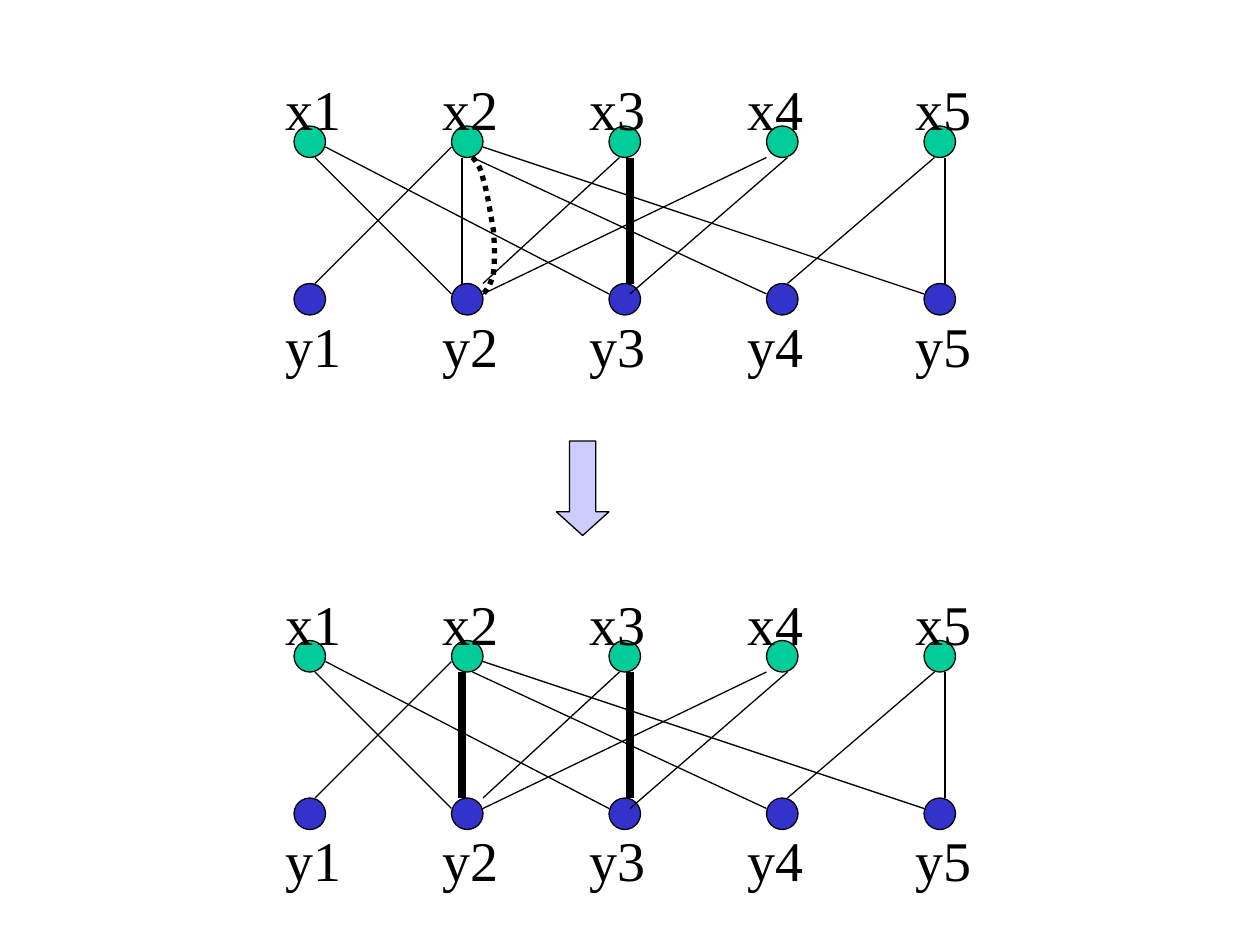
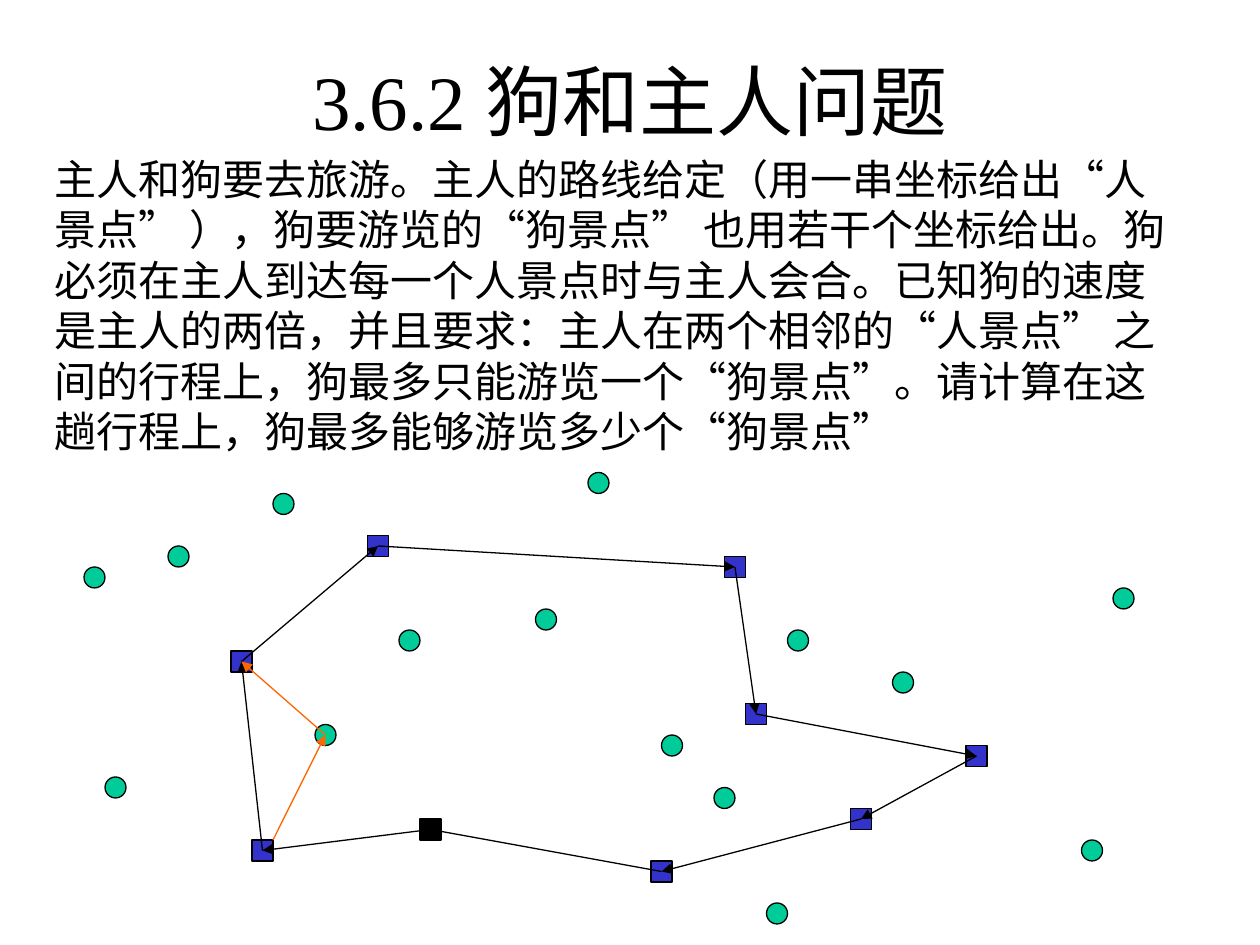
from itertools import pairwise

from lxml.etree import SubElement
from pptx import Presentation
from pptx.dml.color import RGBColor
from pptx.enum.dml import MSO_LINE
from pptx.enum.shapes import MSO_CONNECTOR, MSO_SHAPE as SHAPE
from pptx.enum.text import MSO_ANCHOR as ANCHOR, PP_ALIGN as ALIGN
from pptx.oxml.ns import qn
from pptx.util import Pt

PX = 9525
FONT = "Times New Roman"
BLACK = RGBColor(0x00, 0x00, 0x00)
GREEN = RGBColor(0x00, 0xCC, 0x99)
BLUE = RGBColor(0x33, 0x33, 0xCC)
LAVENDER = RGBColor(0xCC, 0xCC, 0xFF)
ORANGE = RGBColor(0xFF, 0x66, 0x00)
THIN, THICK = 0.75, 4.5

TITLE_ONLY, BLANK = 5, 6
NODE, MARK = 24, 16
NODE_LEFTS = range(224, 705, 120)
LABEL_LEFTS = (208, 328, 440, 560, 688)
X_TOP, Y_TOP = 96, 216
X_LABEL_TOP, Y_LABEL_TOP = 48, 228
GRAPH_STEP = 392

EDGES = [
    (240, 120, 344, 224), (248, 112, 464, 224), (344, 112, 240, 216),
    (360, 120, 584, 224), (368, 112, 704, 224), (472, 120, 368, 216),
    (368, 224, 584, 120), (600, 120, 480, 224), (712, 120, 600, 216),
    (720, 120, 720, 216),
]
X2_Y2 = (352, 120, 352, 216)
X3_Y3 = (480, 120, 480, 216)
DOTTED_CURVE = [
    ((360, 120), (363, 123), (366, 127), (368, 136)),
    ((368, 136), (371, 145), (374, 164), (376, 176)),
    ((376, 176), (377, 188), (377, 200), (376, 208)),
    ((376, 208), (374, 216), (372, 220), (368, 224)),
]

START = (328, 632)
OWNER_STOPS = [
    (200, 648), (184, 504), (288, 416), (560, 432),
    (576, 544), (744, 576), (656, 624), (504, 664),
]
DOG_SPOTS = [
    (248, 560), (88, 600), (312, 488), (456, 368), (512, 568),
    (608, 488), (688, 520), (552, 608), (592, 696), (832, 648),
    (856, 456), (416, 472), (72, 440), (136, 424), (216, 384),
]
DOG_DETOUR = [(208, 640), (248, 560), (184, 504)]
PROBLEM = (
    "主人和狗要去旅游。主人的路线给定（用一串坐标给出“人景点” ），"
    "狗要游览的“狗景点” 也用若干个坐标给出。"
    "狗必须在主人到达每一个人景点时与主人会合。"
    "已知狗的速度是主人的两倍，并且要求："
    "主人在两个相邻的“人景点” 之间的行程上，狗最多只能游览一个“狗景点”。"
    "请计算在这趟行程上，狗最多能够游览多少个“狗景点”"
)


def emu(*lengths):
    """Turn px into whole EMU."""
    return [round(length * PX) for length in lengths]


def set_text(shape, text, size=32, align=ALIGN.LEFT, anchor=ANCHOR.TOP, inset_top=5):
    """Write one formatted paragraph into a shape."""
    frame = shape.text_frame
    frame.word_wrap = True
    frame.vertical_anchor = anchor
    frame.margin_top = inset_top * PX
    paragraph = frame.paragraphs[0]
    paragraph.text = text
    paragraph.alignment = align
    paragraph.font.size = Pt(size)
    paragraph.font.name = FONT
    paragraph.font.color.rgb = BLACK


def add_text(slide, box, text, **style):
    """Add a text box."""
    set_text(slide.shapes.add_textbox(*emu(*box)), text, **style)


def add_shape(slide, kind, box, color):
    """Add a filled preset shape with a thin black outline."""
    shape = slide.shapes.add_shape(kind, *emu(*box))
    shape.shadow.inherit = False
    shape.fill.solid()
    shape.fill.fore_color.rgb = color
    shape.line.color.rgb = BLACK
    shape.line.width = Pt(THIN)
    return shape


def add_mark(slide, kind, center, color):
    """Add a small map mark around its centre."""
    x, y = center
    add_shape(slide, kind, (x - MARK / 2, y - MARK / 2, MARK, MARK), color)


def add_line(slide, ends, color=BLACK, width=THIN, arrow=False):
    """Add a straight line, with an arrowhead at its end if wanted."""
    connector = slide.shapes.add_connector(MSO_CONNECTOR.STRAIGHT, *emu(*ends))
    connector.line.color.rgb = color
    connector.line.width = Pt(width)
    if arrow:
        SubElement(connector.line._get_or_add_ln(), qn("a:tailEnd"), type="triangle")
    SubElement(connector._element.spPr, qn("a:effectLst"))


def add_route(slide, stops, color=BLACK):
    """Join successive stops with arrows."""
    for start, end in pairwise(stops):
        add_line(slide, (*start, *end), color, arrow=True)


def bezier_point(curve, t):
    """Return the point at t of a cubic curve, in EMU."""
    weights = ((1 - t) ** 3, 3 * t * (1 - t) ** 2, 3 * t * t * (1 - t), t ** 3)
    return emu(*(sum(w * value for w, value in zip(weights, axis)) for axis in zip(*curve)))


def add_dotted_curve(slide, curves, steps=8):
    """Add an open dotted outline along joined cubic curves."""
    points = [bezier_point(curve, step / steps) for curve in curves for step in range(1, steps + 1)]
    builder = slide.shapes.build_freeform(*emu(*curves[0][0]))
    builder.add_line_segments(points, close=False)
    shape = builder.convert_to_shape()
    shape.shadow.inherit = False
    shape.fill.background()
    shape.line.color.rgb = BLACK
    shape.line.width = Pt(3)
    shape.line.dash_style = MSO_LINE.ROUND_DOT


def add_graph(slide, offset, x2_y2_width):
    """Add a bipartite graph, moved down by an offset."""
    rows = (("x", X_TOP, X_LABEL_TOP, GREEN), ("y", Y_TOP, Y_LABEL_TOP, BLUE))
    for name, node_top, label_top, color in rows:
        for number, (node_left, label_left) in enumerate(zip(NODE_LEFTS, LABEL_LEFTS), 1):
            add_shape(slide, SHAPE.OVAL, (node_left, node_top + offset, NODE, NODE), color)
            add_text(slide, (label_left, label_top + offset, 72, 61), f"{name}{number}", inset_top=9)
    widths = [(edge, THIN) for edge in EDGES] + [(X2_Y2, x2_y2_width), (X3_Y3, THICK)]
    for (x1, y1, x2, y2), width in widths:
        add_line(slide, (x1, y1 + offset, x2, y2 + offset), width=width)


def add_matching_slide(presentation):
    """Show the matching before and after x2 is matched with y2."""
    slide = presentation.slides.add_slide(presentation.slide_layouts[BLANK])
    add_graph(slide, 0, 1)
    add_graph(slide, GRAPH_STEP, THICK)
    arrow = add_shape(slide, SHAPE.DOWN_ARROW, (424, 336, 40, 72), LAVENDER)
    arrow.adjustments[0] = 0.5
    arrow.adjustments[1] = 0.45
    add_dotted_curve(slide, DOTTED_CURVE)


def add_dog_slide(presentation):
    """State the dog and owner problem above a map of the walk."""
    slide = presentation.slides.add_slide(presentation.slide_layouts[TITLE_ONLY])
    title = slide.shapes.title
    title.left, title.top, title.width, title.height = emu(72, 16, 816, 120)
    set_text(title, "3.6.2 狗和主人问题", size=44, align=ALIGN.CENTER, anchor=ANCHOR.MIDDLE)
    for spot in DOG_SPOTS:
        add_mark(slide, SHAPE.OVAL, spot, GREEN)
    add_mark(slide, SHAPE.RECTANGLE, START, BLACK)
    for stop in OWNER_STOPS:
        add_mark(slide, SHAPE.RECTANGLE, stop, BLUE)
    add_route(slide, [START, *OWNER_STOPS, START])
    add_route(slide, DOG_DETOUR, ORANGE)
    add_text(slide, (32, 112, 872, 240), PROBLEM, size=24)


def main():
    """Build and save the presentation."""
    presentation = Presentation()
    presentation.slide_width, presentation.slide_height = emu(960, 720)
    add_matching_slide(presentation)
    add_dog_slide(presentation)
    presentation.save("out.pptx")


if __name__ == "__main__":
    main()
